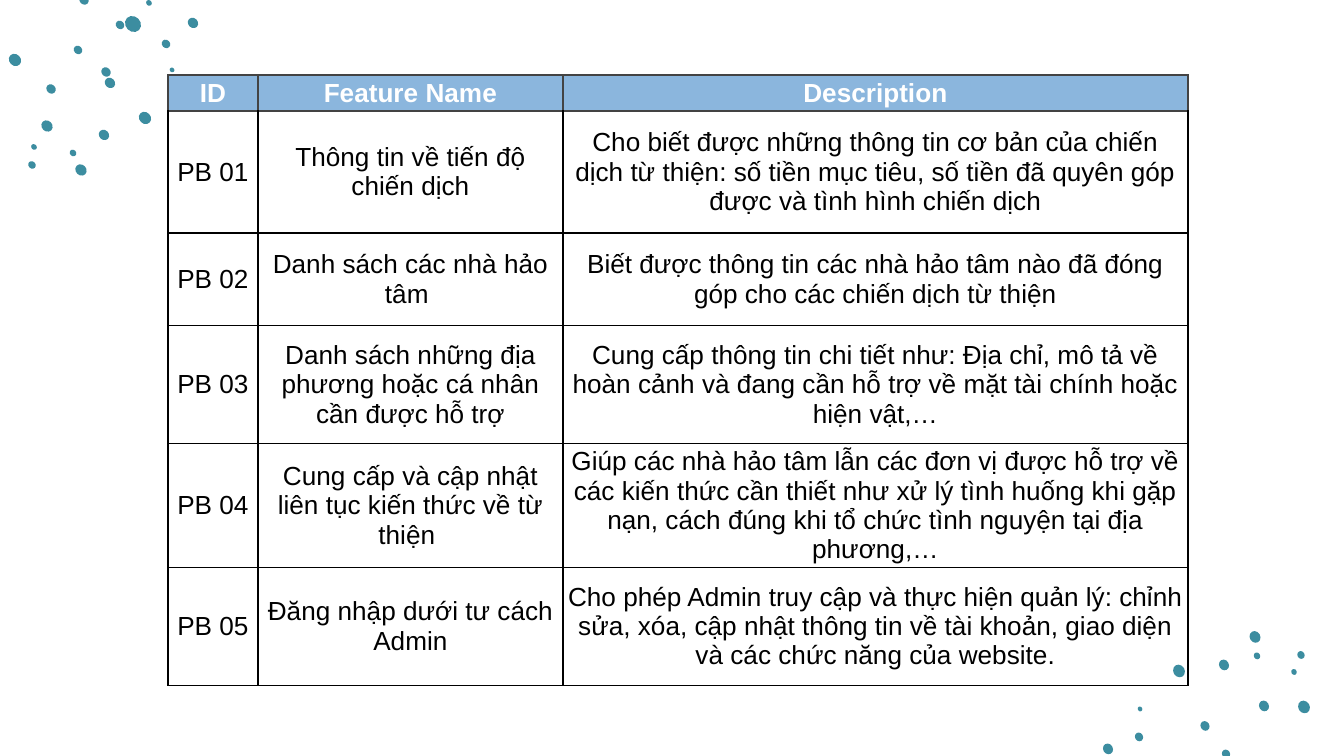
from lxml import etree
from pptx import Presentation
from pptx.dml.color import RGBColor
from pptx.enum.shapes import MSO_SHAPE
from pptx.enum.text import MSO_ANCHOR, PP_ALIGN
from pptx.oxml.ns import qn
from pptx.util import Emu, Pt

OVAL = MSO_SHAPE.OVAL
MIDDLE = MSO_ANCHOR.MIDDLE
CENTER = PP_ALIGN.CENTER

WIDE, HIGH = 1344, 756
SCALE = 9144000 / WIDE
TEAL, BLUE, GRAY = "3C8DA0", "8BB6DD", "434343"
WHITE, BLACK = "FFFFFF", "000000"

# Dots: centre x, centre y, long side, relative to the region's box
TOP_DOTS = [
    (133, 24, 17), (149, 3, 6), (84, 0, 10), (120, 25, 9), (78, 50, 9),
    (106, 72, 10), (110, 83, 11), (51, 89, 10), (104, 135, 11),
    (47, 126, 12), (73, 153, 7), (81, 170, 12), (34, 147, 6),
    (32, 165, 8), (145, 118, 13), (193, 23, 11), (166, 44, 9),
    (172, 70, 5), (15, 60, 13),
]
LOW_DOTS = [
    (126, 124, 9), (105, 96, 10), (164, 76, 11), (124, 35, 11),
    (157, 26, 7), (155, 7, 12), (194, 42, 6), (201, 25, 8),
    (79, 41, 13), (8, 119, 11), (39, 107, 9), (40, 79, 5), (204, 77, 13),
]

COLS = [90, 305, 625]
ROWS = [36, 122, 93, 118, 118, 118]
CELLS = [
    ("ID", "Feature Name", "Description"),
    ("PB 01", "Thông tin về tiến độ chiến dịch",
     "Cho biết được những thông tin cơ bản của chiến dịch từ thiện: số tiền "
     "mục tiêu, số tiền đã quyên góp được và tình hình chiến dịch"),
    ("PB 02", "Danh sách các nhà hảo tâm ",
     "Biết được thông tin các nhà hảo tâm nào đã đóng góp cho các chiến dịch "
     "từ thiện"),
    ("PB 03", "Danh sách những địa phương hoặc cá nhân cần được hỗ trợ",
     "Cung cấp thông tin chi tiết như: Địa chỉ, mô tả về hoàn cảnh và đang "
     "cần hỗ trợ về mặt tài chính hoặc hiện vật,…"),
    ("PB 04", "Cung cấp và cập nhật liên tục kiến thức về từ thiện ",
     "Giúp các nhà hảo tâm lẫn các đơn vị được hỗ trợ về các kiến thức cần "
     "thiết như xử lý tình huống khi gặp nạn, cách đúng khi tổ chức tình "
     "nguyện tại địa phương,…"),
    ("PB 05", "Đăng nhập dưới tư cách Admin",
     "Cho phép Admin truy cập và thực hiện quản lý: chỉnh sửa, xóa, cập nhật "
     "thông tin về tài khoản, giao diện và các chức năng của website."),
]


def px(n):
    return Emu(round(n * SCALE))


def color(code):
    return RGBColor.from_string(code)


def add_dots(slide, box, dots, angle):
    left, top = box
    for x, y, long in dots:
        short = long * 0.88
        dot = slide.shapes.add_shape(
            OVAL, px(left + x - long / 2), px(top + y - short / 2),
            px(long), px(short))
        dot.rotation = angle
        dot.shadow.inherit = False
        dot.fill.solid()
        dot.fill.fore_color.rgb = color(TEAL)
        dot.line.fill.background()


def add_edge(cell, side, code, width):
    props = cell._tc.get_or_add_tcPr()
    line = etree.SubElement(props, qn("a:ln" + side), w=str(Pt(width)))
    fill = etree.SubElement(line, qn("a:solidFill"))
    etree.SubElement(fill, qn("a:srgbClr"), val=code)


def style_cell(cell, text, row):
    head = row == 0
    cell.vertical_anchor = MIDDLE
    cell.margin_left = cell.margin_right = px(3)
    cell.margin_top = cell.margin_bottom = px(3)

    # Edges come before the fill in the cell's properties
    for side in "LRTB":
        dark = head or (row == 1 and side == "T")
        add_edge(cell, side, GRAY if dark else BLACK, 1 if dark else 0.75)
    if head:
        cell.fill.solid()
        cell.fill.fore_color.rgb = color(BLUE)
    else:
        cell.fill.background()

    cell.text_frame.text = text
    para = cell.text_frame.paragraphs[0]
    para.alignment = CENTER
    para.space_after = Pt(10)
    font = para.runs[0].font
    font.name = "Arial"
    font.size = Pt(14)
    font.bold = head
    font.color.rgb = color(WHITE if head else BLACK)


def add_grid(slide, box):
    left, top = box
    table = slide.shapes.add_table(
        len(ROWS), len(COLS), px(left), px(top),
        px(sum(COLS)), px(sum(ROWS))).table
    table.first_row = True
    table.horz_banding = False
    for col, width in zip(table.columns, COLS):
        col.width = px(width)
    for row, height in zip(table.rows, ROWS):
        row.height = px(height)
    for r, texts in enumerate(CELLS):
        for c, text in enumerate(texts):
            style_cell(table.cell(r, c), text, r)


def main():
    deck = Presentation()
    deck.slide_width, deck.slide_height = px(WIDE), px(HIGH)
    slide = deck.slides.add_slide(deck.slide_layouts[6])

    # Corner dots, then the feature table
    add_dots(slide, (0, 0), TOP_DOTS, 45)
    add_dots(slide, (1100, 630), LOW_DOTS, 60)
    add_grid(slide, (168, 75))

    deck.save("out.pptx")


if __name__ == "__main__":
    main()
